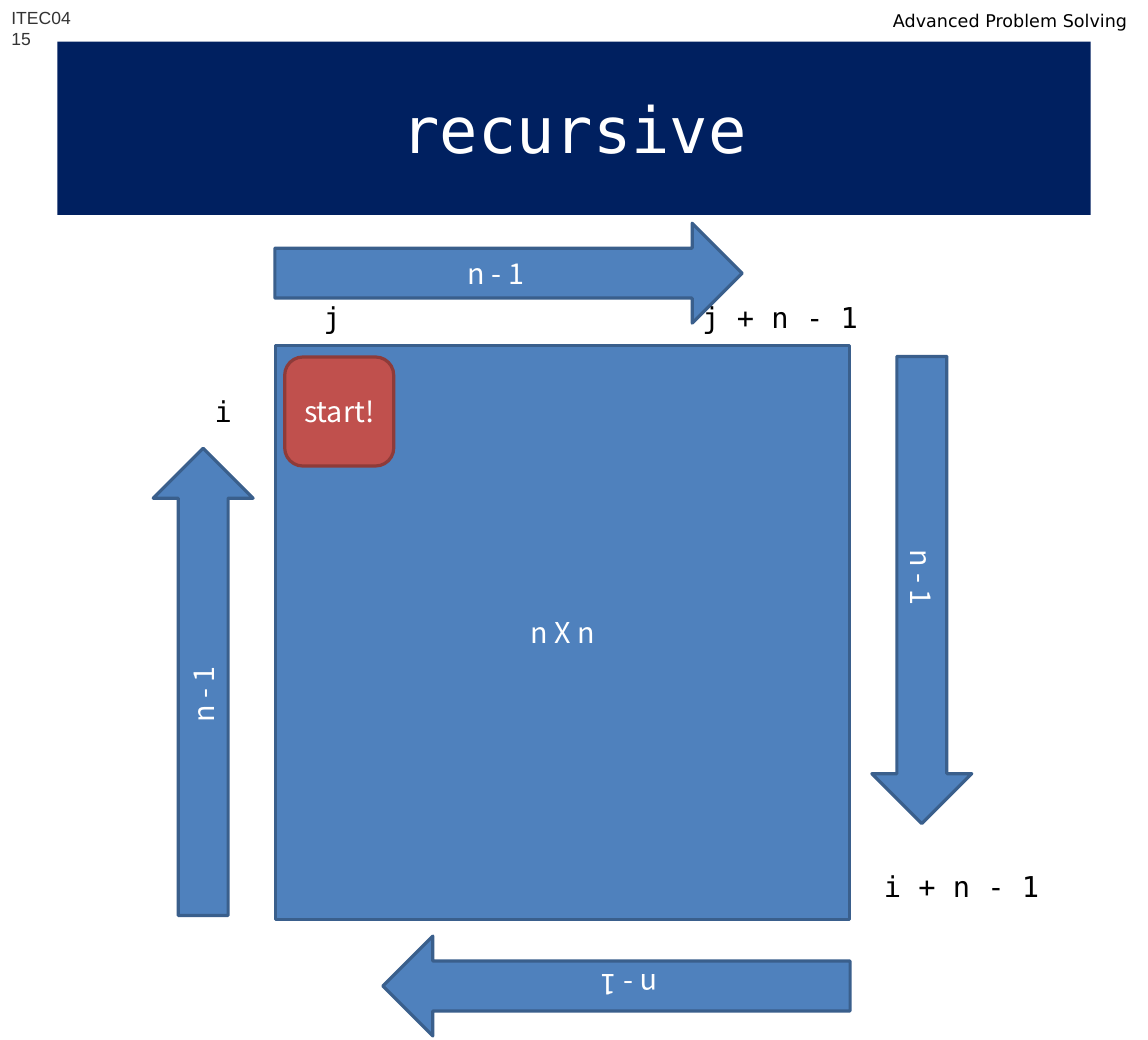
import math

import pptx
import pptx.dml.color
import pptx.enum.shapes
import pptx.enum.text
import pptx.util

RGBColor = pptx.dml.color.RGBColor
SHAPE = pptx.enum.shapes.MSO_SHAPE
ALIGN = pptx.enum.text.PP_ALIGN
ANCHOR = pptx.enum.text.MSO_ANCHOR
Inches = pptx.util.Inches

NAVY = RGBColor(0x00, 0x20, 0x60)
BLUE = RGBColor(0x4F, 0x81, 0xBD)
BLUE_EDGE = RGBColor(0x3A, 0x5F, 0x8C)
RED = RGBColor(0xC0, 0x50, 0x4D)
RED_EDGE = RGBColor(0x8E, 0x3B, 0x39)
WHITE = RGBColor(0xFF, 0xFF, 0xFF)
BLACK = RGBColor(0x00, 0x00, 0x00)
GRAY = RGBColor(0x33, 0x33, 0x33)

SANS = "Noto Sans CJK KR"
MONO = "DejaVu Sans Mono"

WIDTH, HEIGHT = 10, 9.06
SIDE = 5
SQUARE_LEFT, SQUARE_TOP = 0.24 * WIDTH, 3.01
ARROW_LENGTH, ARROW_BREADTH = 4.07, 0.87

TITLE = "recursive"
HEADERS = [
    ("ITEC0415", (0, 0.01, 0.79, 0.29), "Arial", GRAY),
    ("Advanced Problem Solving", (7.68, 0.04, 2.32, 0.29), "DejaVu Sans", BLACK),
]
ARROW_TEXT = "n - 1"
ARROWS = [
    {"angle": 0, "lag": 0.47, "distance": 3.13},
    {"angle": 90, "lag": 0.37, "distance": 3.13},
    {"angle": 180, "lag": 0.47, "distance": 3.08},
    {"angle": 270, "lag": 0.43, "distance": 3.13},
]
INDEX_LABELS = [
    ("i", -0.63, 0.37, 0.55),
    ("j", 0.32, -0.45, 0.55),
    ("j + n - 1", 3.62, -0.45, 2.77),
    ("i + n - 1", 5.2, 4.51, 1.78),
]


def write(box, text, size, font, color, align=ALIGN.LEFT):
    para = box.text_frame.paragraphs[0]
    para.alignment = align
    span = para.add_run()
    span.text = text
    span.font.size = pptx.util.Pt(size)
    span.font.name = font
    span.font.color.rgb = color


def add_label(page, text, place, size, font, color):
    box = page.shapes.add_textbox(*map(Inches, place))
    box.text_frame.word_wrap = True
    write(box, text, size, font, color)


def add_block(page, kind, text, place, fill, edge):
    block = page.shapes.add_shape(kind, *map(Inches, place))
    block.shadow.inherit = False
    block.fill.solid()
    block.fill.fore_color.rgb = fill
    block.line.color.rgb = edge
    block.line.width = pptx.util.Pt(2)
    block.text_frame.vertical_anchor = ANCHOR.MIDDLE
    write(block, text, 18, SANS, WHITE, ALIGN.CENTER)
    return block


def add_arrow(page, angle, lag, distance):
    turn = math.radians(angle)
    center_x = SQUARE_LEFT + SIDE / 2 - lag * math.cos(turn) + distance * math.sin(turn)
    center_y = SQUARE_TOP + SIDE / 2 - lag * math.sin(turn) - distance * math.cos(turn)
    place = (center_x - ARROW_LENGTH / 2, center_y - ARROW_BREADTH / 2,
             ARROW_LENGTH, ARROW_BREADTH)
    arrow = add_block(page, SHAPE.RIGHT_ARROW, ARROW_TEXT, place, BLUE, BLUE_EDGE)
    arrow.rotation = angle


def add_title(page):
    title = page.shapes.title
    title.left, title.top = Inches(0.05 * WIDTH), Inches(0.04 * HEIGHT)
    title.width, title.height = Inches(0.9 * WIDTH), Inches(HEIGHT / 6)
    title.fill.solid()
    title.fill.fore_color.rgb = NAVY
    title.text_frame.vertical_anchor = ANCHOR.MIDDLE
    write(title, TITLE, 40, MONO, WHITE, ALIGN.CENTER)


def main():
    deck = pptx.Presentation()
    deck.slide_width, deck.slide_height = Inches(WIDTH), Inches(HEIGHT)
    page = deck.slides.add_slide(deck.slide_layouts[5])
    add_title(page)
    for text, place, font, color in HEADERS:
        add_label(page, text, place, 11, font, color)
    add_block(page, SHAPE.RECTANGLE, "n X n",
              (SQUARE_LEFT, SQUARE_TOP, SIDE, SIDE), BLUE, BLUE_EDGE)
    for arrow in ARROWS:
        add_arrow(page, **arrow)
    add_block(page, SHAPE.ROUNDED_RECTANGLE, "start!",
              (SQUARE_LEFT + 0.08, SQUARE_TOP + 0.1, 0.95, 0.95), RED, RED_EDGE)
    for text, across, down, width in INDEX_LABELS:
        place = (SQUARE_LEFT + across, SQUARE_TOP + down, width, 0.4)
        add_label(page, text, place, 18, MONO, BLACK)
    deck.save("out.pptx")


if __name__ == "__main__":
    main()
